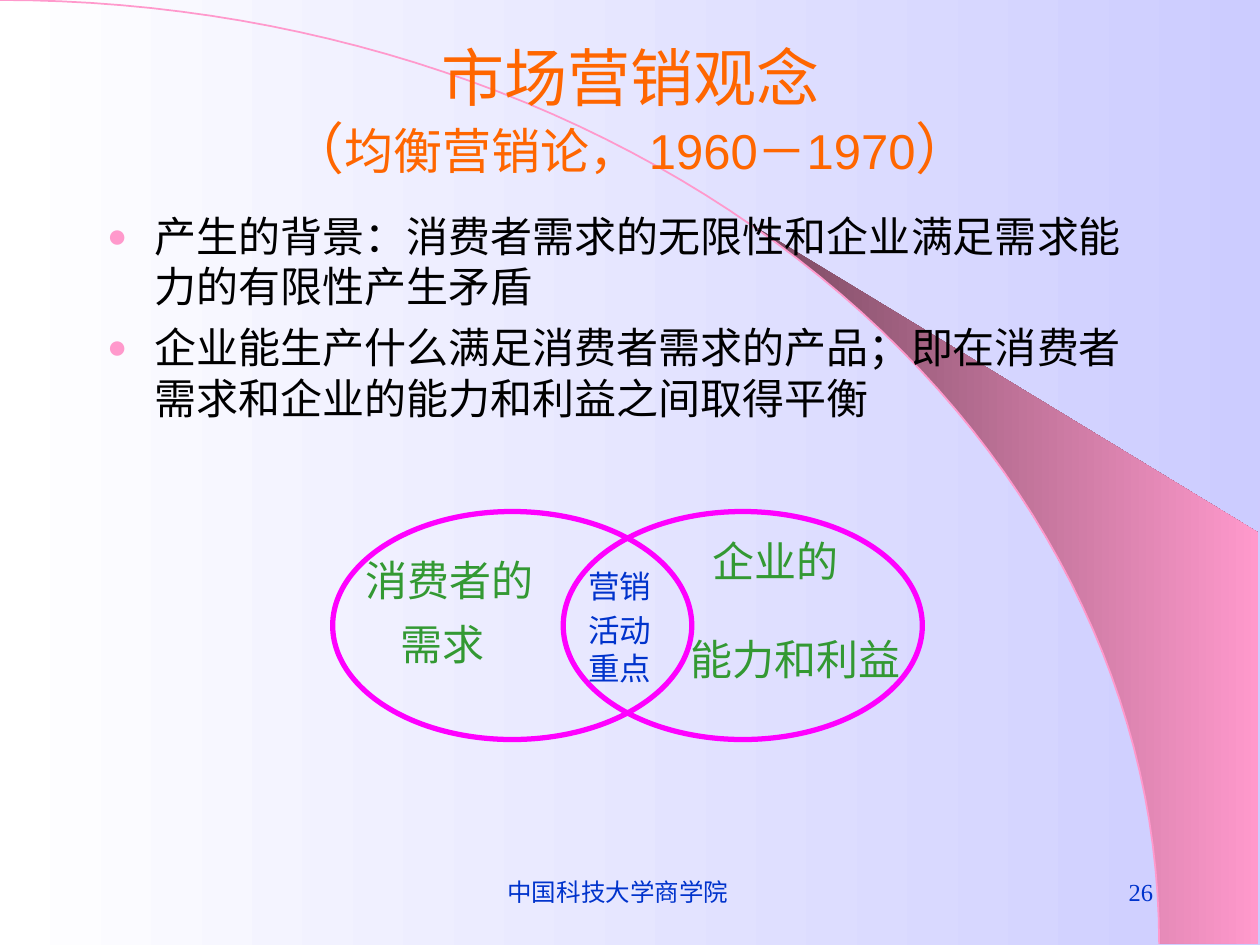
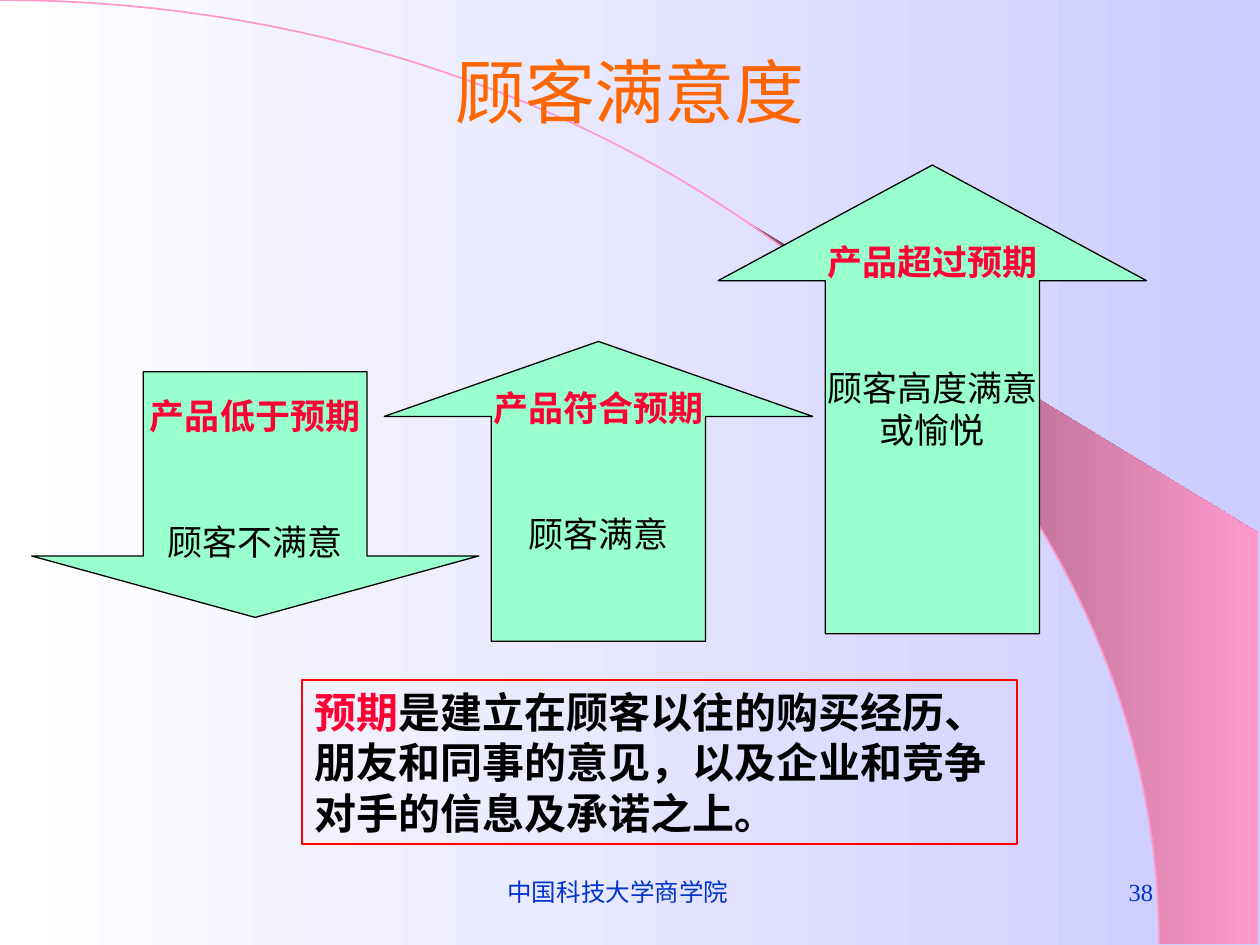
from math import asin, cos, pi, sin

from lxml import etree
from pptx import Presentation
from pptx.dml.color import RGBColor
from pptx.enum.shapes import MSO_SHAPE
from pptx.enum.text import MSO_ANCHOR, MSO_AUTO_SIZE, PP_ALIGN
from pptx.oxml.ns import qn
from pptx.util import Inches, Pt

LEFT, CENTER, RIGHT = PP_ALIGN.LEFT, PP_ALIGN.CENTER, PP_ALIGN.RIGHT
TOP, MIDDLE = MSO_ANCHOR.TOP, MSO_ANCHOR.MIDDLE
ELLIPSE, RECTANGLE = MSO_SHAPE.OVAL, MSO_SHAPE.RECTANGLE
UP, DOWN = MSO_SHAPE.UP_ARROW, MSO_SHAPE.DOWN_ARROW
FIXED = MSO_AUTO_SIZE.NONE

WHITE = RGBColor(0xFF, 0xFF, 0xFF)
LAVENDER = RGBColor(0xCC, 0xCC, 0xFF)
PLUM = RGBColor(0x76, 0x47, 0x5E)
PINK = RGBColor(0xFF, 0x99, 0xCC)
ORANGE = RGBColor(0xFF, 0x66, 0x00)
BLUE = RGBColor(0x00, 0x33, 0xCC)
GREEN = RGBColor(0x33, 0x99, 0x33)
MAGENTA = RGBColor(0xFF, 0x00, 0xFF)
RED = RGBColor(0xFF, 0x00, 0x00)
CRIMSON = RGBColor(0xFF, 0x00, 0x33)
MINT = RGBColor(0x99, 0xFF, 0xCC)
BLACK = RGBColor(0x00, 0x00, 0x00)

SANS, SERIF, ACCENT = "Arial", "Times New Roman", "Karla"
WIDTH, HEIGHT = 10, 7.5
ARC_WIDTH, ARC_HEIGHT = 9.2, 7.49
WEDGE_START, WEDGE_RIGHT, WEDGE_TOP = 5.89, 9.99, 4.23

FOOTER = "中国科技大学商学院"

BALANCE_TITLE = [
    [("市场营销观念", 36)],
    [("（", 32), ("均衡营销论， 1960－1970", 28), ("）", 32)],
]
BALANCE_POINTS = [
    "产生的背景：消费者需求的无限性和企业满足需求能力的有限性产生矛盾",
    "企业能生产什么满足消费者需求的产品；即在消费者需求和企业的能力和利益之间取得平衡",
]
CIRCLE_LEFTS, CIRCLE_TOP, CIRCLE_SIZE = (2.64, 4.47), 4.06, (2.85, 1.81)
CIRCLE_LABELS = [
    ("消费者的", 2.8, 4.35, 24, GREEN),
    ("需求", 3.08, 4.86, 24, GREEN),
    ("企业的", 5.56, 4.2, 24, GREEN),
    ("能力和利益", 5.38, 4.98, 24, GREEN),
    ("营销", 4.57, 4.45, 18, BLUE),
    ("活动", 4.57, 4.8, 18, BLUE),
    ("重点", 4.57, 5.1, 18, BLUE),
]

SATISFACTION_TITLE = [[("顾客满意度", 40)]]
ARROWS = [
    dict(kind=DOWN, at=(0.25, 2.95, 3.55, 1.95), head=0.25, text_top=3.08,
         cause="产品低于预期", result="顾客不满意"),
    dict(kind=UP, at=(3.05, 2.71, 3.4, 2.38), head=0.25, text_top=3.02,
         cause="产品符合预期", result="顾客满意"),
    dict(kind=UP, at=(5.7, 1.31, 3.4, 3.72), head=0.27, text_top=1.86,
         cause="产品超过预期", result="顾客高度满意或愉悦"),
]
ARROW_TEXT_SIZE = (1.89, 1.45)
EXPECTATION = ("预期", "是建立在顾客以往的购买经历、朋友和同事的意见，以及企业和竞争对手的信息及承诺之上。")


def place(box, left, top, width, height):
    box.left, box.top = Inches(left), Inches(top)
    box.width, box.height = Inches(width), Inches(height)


def add_span(para, text, size, font, color, bold=False):
    span = para.add_run()
    span.text = text
    span.font.size, span.font.name, span.font.bold = Pt(size), font, bold
    span.font.color.rgb = color


def add_text_box(page, at, anchor=TOP, wrap=True):
    frame = page.shapes.add_textbox(*map(Inches, at)).text_frame
    frame.word_wrap, frame.vertical_anchor = wrap, anchor
    return frame


def add_line_of_text(page, at, text, size, color, align=LEFT, anchor=TOP, wrap=True):
    para = add_text_box(page, at, anchor, wrap).paragraphs[0]
    para.alignment = align
    add_span(para, text, size, SERIF, color)


def add_outlined(page, kind, at, color, weight, fill=None):
    shape = page.shapes.add_shape(kind, *map(Inches, at))
    shape.shadow.inherit = False
    shape.line.color.rgb, shape.line.width = color, Pt(weight)
    if fill is None:
        shape.fill.background()
    else:
        shape.fill.solid()
        shape.fill.fore_color.rgb = fill
    return shape


def set_gradient(fill, first, last):
    fill.gradient()
    fill.gradient_angle = 0
    for stop, color in zip(fill.gradient_stops, (first, last)):
        stop.color.rgb = color


def arc_points(first_angle, steps=60):
    angles = [first_angle + (pi / 2 - first_angle) * step / steps for step in range(steps + 1)]
    return [(ARC_WIDTH * sin(angle), ARC_HEIGHT * (1 - cos(angle))) for angle in angles]


def add_outline(page, points, close):
    start, *rest = [(Inches(x), Inches(y)) for x, y in points]
    builder = page.shapes.build_freeform(*start)
    builder.add_line_segments(rest, close=close)
    shape = builder.convert_to_shape()
    shape.shadow.inherit = False
    return shape


def decorate_master(deck, page):
    master = deck.slide_master
    set_gradient(master.background.fill, WHITE, LAVENDER)
    corners = [(WEDGE_RIGHT, ARC_HEIGHT), (WEDGE_RIGHT, WEDGE_TOP)]
    wedge = add_outline(page, arc_points(asin(WEDGE_START / ARC_WIDTH)) + corners, True)
    set_gradient(wedge.fill, PLUM, PINK)
    wedge.line.fill.background()
    arc = add_outline(page, arc_points(0), False)
    arc.fill.background()
    arc.line.color.rgb, arc.line.width = PINK, Pt(1)
    for number, shape in enumerate((wedge, arc), 101):
        shape.element.nvSpPr.cNvPr.set("id", str(number))
        master.shapes.element.append(shape.element)


def add_page(deck, layout, title, title_at, number):
    page = deck.slides.add_slide(deck.slide_layouts[layout])
    place(page.shapes.title, *title_at)
    frame = page.shapes.title.text_frame
    frame.auto_size, frame.vertical_anchor = FIXED, MIDDLE
    para = frame.paragraphs[0]
    para.alignment = CENTER
    for index, line in enumerate(title):
        if index:
            para.add_line_break()
        for text, size in line:
            add_span(para, text, size, SANS, ORANGE)
    add_line_of_text(page, (3.32, 6.83, 3.17, 0.5), FOOTER, 14, BLUE, CENTER, MIDDLE)
    add_line_of_text(page, (7.17, 6.83, 2.08, 0.5), str(number), 14, BLUE, RIGHT, MIDDLE)
    return page


def set_bullet(para):
    properties = para._p.get_or_add_pPr()
    properties.set("marL", str(Inches(0.38)))
    properties.set("indent", str(-Inches(0.38)))
    color = etree.SubElement(properties, qn("a:buClr"))
    etree.SubElement(color, qn("a:srgbClr"), val=str(PINK))
    etree.SubElement(properties, qn("a:buSzPct"), val="80000")
    etree.SubElement(properties, qn("a:buChar"), char="●")


def fill_balance_page(page):
    body = page.placeholders[1]
    place(body, 0.75, 1.62, 8.5, 2.05)
    frame = body.text_frame
    frame.auto_size = FIXED
    for index, point in enumerate(BALANCE_POINTS):
        para = frame.add_paragraph() if index else frame.paragraphs[0]
        set_bullet(para)
        para.space_before = Pt(6 if index else 0)
        add_span(para, point, 24, SERIF, BLACK)
    for left in CIRCLE_LEFTS:
        add_outlined(page, ELLIPSE, (left, CIRCLE_TOP, *CIRCLE_SIZE), MAGENTA, 3)
    for text, left, top, size, color in CIRCLE_LABELS:
        width = len(text) * size / 72 + 0.2
        add_line_of_text(page, (left, top, width, size / 60 + 0.1), text, size, color, wrap=False)


def fill_satisfaction_page(page):
    note = add_outlined(page, RECTANGLE, (2.4, 5.4, 5.67, 1.3), RED, 1)
    note.text_frame.word_wrap, note.text_frame.vertical_anchor = True, TOP
    para = note.text_frame.paragraphs[0]
    para.alignment = LEFT
    for text, color in zip(EXPECTATION, (CRIMSON, BLACK)):
        add_span(para, text, 24, ACCENT, color, True)
    for arrow in ARROWS:
        shape = add_outlined(page, arrow["kind"], arrow["at"], BLACK, 0.75, MINT)
        shape.adjustments[0], shape.adjustments[1] = 0.5, arrow["head"]
        left, _, width, _ = arrow["at"]
        text_width, text_height = ARROW_TEXT_SIZE
        text_left = left + (width - text_width) / 2
        frame = add_text_box(page, (text_left, arrow["text_top"], text_width, text_height))
        cause, result = frame.paragraphs[0], frame.add_paragraph()
        cause.alignment = result.alignment = CENTER
        result.space_before = Pt(48)
        add_span(cause, arrow["cause"], 20, ACCENT, CRIMSON, True)
        add_span(result, arrow["result"], 20, ACCENT, BLACK)


def main():
    deck = Presentation()
    deck.slide_width, deck.slide_height = Inches(WIDTH), Inches(HEIGHT)
    balance = add_page(deck, 1, BALANCE_TITLE, (0.59, 0.28, 8.82, 1.18), 26)
    decorate_master(deck, balance)
    fill_balance_page(balance)
    satisfaction = add_page(deck, 5, SATISFACTION_TITLE, (0.75, 0.28, 8.5, 0.87), 38)
    fill_satisfaction_page(satisfaction)
    deck.save("out.pptx")


if __name__ == "__main__":
    main()
